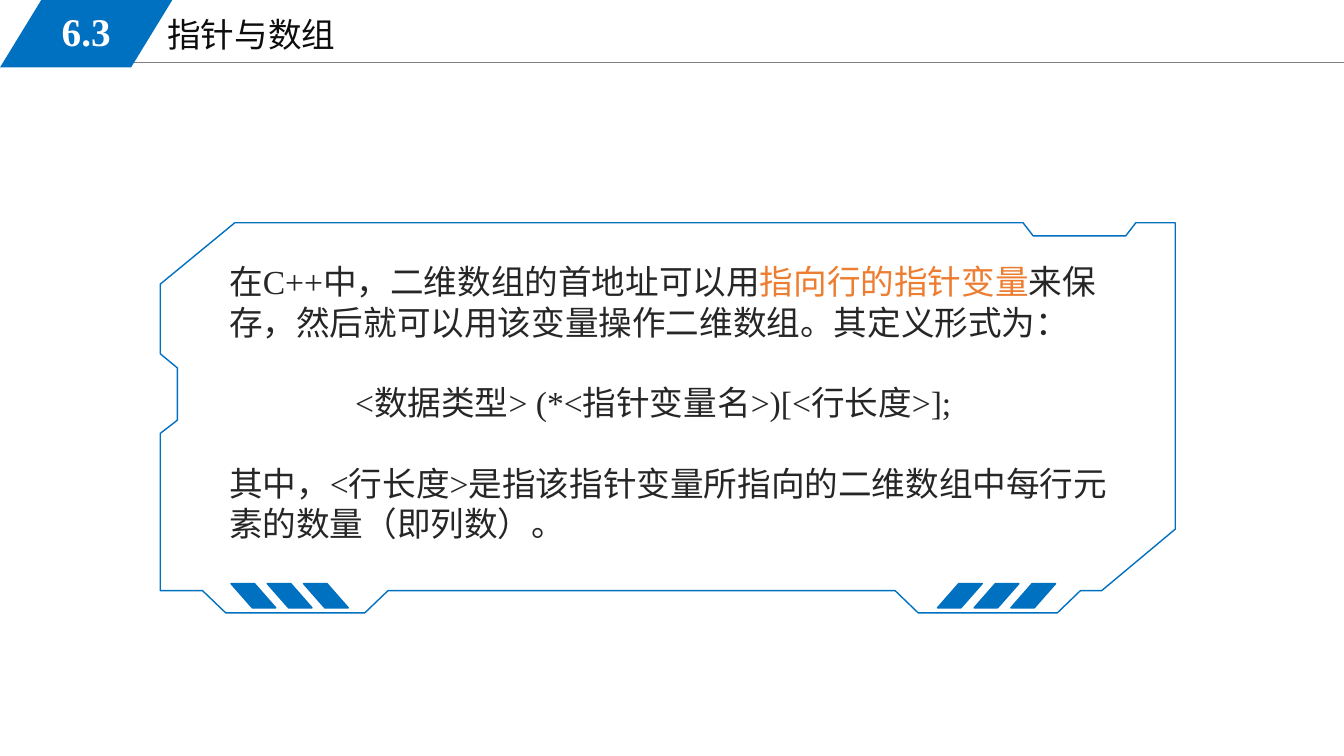
from pptx import Presentation, util as u
from pptx.dml.color import RGBColor
from pptx.enum import lang, shapes, text
from pptx.oxml import parse_xml
from pptx.oxml.ns import nsdecls

BLUE, INK, ORANGE = "0070C0", "262626", "ED7D31"


def colour(hex_code):
    return RGBColor.from_string(hex_code)


class SlideKit:
    """Shared style and drawing methods for the current slide; lengths in points."""

    font = "Times New Roman"

    def __init__(self, slide):
        self.slide = slide

    def place(self, item, left, top, width, height):
        item.left, item.top = u.Pt(left), u.Pt(top)
        item.width, item.height = u.Pt(width), u.Pt(height)

    def prepare(self, frame, anchor):
        frame.word_wrap = True
        frame.auto_size = text.MSO_AUTO_SIZE.NONE
        frame.vertical_anchor = anchor
        frame.margin_left = frame.margin_right = u.Pt(7.2)
        frame.margin_top = frame.margin_bottom = u.Pt(3.6)

    def add_runs(self, paragraph, runs, size=24, bold=False, align=text.PP_ALIGN.LEFT, before=0):
        paragraph.alignment = align
        paragraph.space_before = u.Pt(before)
        for words, ink in runs:
            run = paragraph.add_run()
            run.text = words
            run.font.name, run.font.size, run.font.bold = self.font, u.Pt(size), bold
            run.font.color.rgb = colour(ink)
            run.font.language_id = lang.MSO_LANGUAGE_ID.SIMPLIFIED_CHINESE

    def title(self, box, words):
        heading = self.slide.shapes.title
        self.place(heading, *box)
        self.prepare(heading.text_frame, text.MSO_ANCHOR.TOP)
        self.add_runs(heading.text_frame.paragraphs[0], [(words, "0D0D0D")])

    def body(self, box, entries, gap):
        explanation = self.slide.placeholders[1]
        self.place(explanation, *box)
        frame = explanation.text_frame
        self.prepare(frame, text.MSO_ANCHOR.TOP)
        for number, (indent, runs) in enumerate(entries):
            paragraph = frame.add_paragraph() if number else frame.paragraphs[0]
            properties = paragraph._p.get_or_add_pPr()
            properties.set("marL", str(u.Pt(indent)))
            properties.set("indent", "0")
            properties.append(parse_xml(f"<a:buNone {nsdecls('a')}/>"))
            self.add_runs(paragraph, runs, before=gap if number else 0)

    def label(self, box, words, size):
        number = self.slide.shapes.add_textbox(*map(u.Pt, box))
        self.prepare(number.text_frame, text.MSO_ANCHOR.MIDDLE)
        self.add_runs(number.text_frame.paragraphs[0], [(words, "FFFFFF")], size, True,
                      text.PP_ALIGN.CENTER)

    def rule(self, left, right, y):
        divider = self.slide.shapes.add_connector(
            shapes.MSO_CONNECTOR.STRAIGHT, u.Pt(left), u.Pt(y), u.Pt(right), u.Pt(y))
        divider.line.color.rgb = colour("808080")
        divider.line.width = u.Pt(0.75)
        divider._element.spPr.append(parse_xml(f"<a:effectLst {nsdecls('a')}/>"))

    def outline(self, item):
        item.shadow.inherit = False
        item.line.color.rgb = colour(BLUE)
        item.line.width = u.Pt(1)

    def slant(self, parent, box, lean, mirrored=False, outlined=True):
        bar = parent.add_shape(shapes.MSO_SHAPE.PARALLELOGRAM, *map(u.Pt, box))
        bar.adjustments[0] = lean
        bar.fill.solid()
        bar.fill.fore_color.rgb = colour(BLUE)
        self.outline(bar)
        if not outlined:
            bar.line.fill.background()
        if mirrored:
            bar._element.spPr.xfrm.set("flipH", "1")

    def panel(self, parent, corners):
        points = [(u.Pt(x), u.Pt(y)) for x, y in corners]
        builder = parent.build_freeform(*points[0], scale=1.0)
        builder.add_line_segments(points[1:], close=True)
        border = builder.convert_to_shape()
        border.fill.background()
        self.outline(border)


def main():
    deck = Presentation()
    deck.slide_width, deck.slide_height = u.Pt(960), u.Pt(540)
    kit = SlideKit(deck.slides.add_slide(deck.slide_layouts[1]))

    kit.rule(81.4, 960, 44.6)
    kit.title((112.3, 6.5, 408.2, 36.7), "指针与数组")
    kit.slant(kit.slide.shapes, (0, 0, 123.1, 48.2), 0.612, outlined=False)
    kit.label((18, 1.4, 87.1, 41.8), "6.3", 28)

    kit.body((156.5, 182.9, 655.2, 211), [
        (0, [("在C++中，二维数组的首地址可以用", INK),
             ("指向行的指针变量", ORANGE),
             ("来保存，然后就可以用该变量操作二维数组。其定义形式为：", INK)]),
        (90, [("<数据类型> (*<指针变量名>)[<行长度>];", INK)]),
        (0, [("其中，<行长度>是指该指针变量所指向的二维数组中每行元素的数量（即列数）。", INK)]),
    ], gap=28.8)

    frame = kit.slide.shapes.add_group_shape().shapes
    top, base, foot = 159.1, 421.9, 437.8
    left, right = 114.5, 839.5
    kit.panel(frame, [
        (655.9, foot), (755.3, foot), (771.8, base), (787, base), (right, 378),
        (right, top), (811.4, top), (804.2, 168.5), (738, 168.5), (730.8, top),
        (167.8, top), (left, 203), (left, 252.7), (126.7, 262.8), (126.7, 300.2),
        (left, 309.6), (left, base), (144.7, base), (161.3, foot), (260.6, foot),
        (277.2, base), (639.4, base)])
    for start, step, mirrored in ((669.6, 26.2, False), (165, 25.9, True)):
        for index in range(3):
            kit.slant(frame, (start + index * step, 416.9, 32, 17.3), 0.878, mirrored)

    deck.save("out.pptx")


if __name__ == "__main__":
    main()
